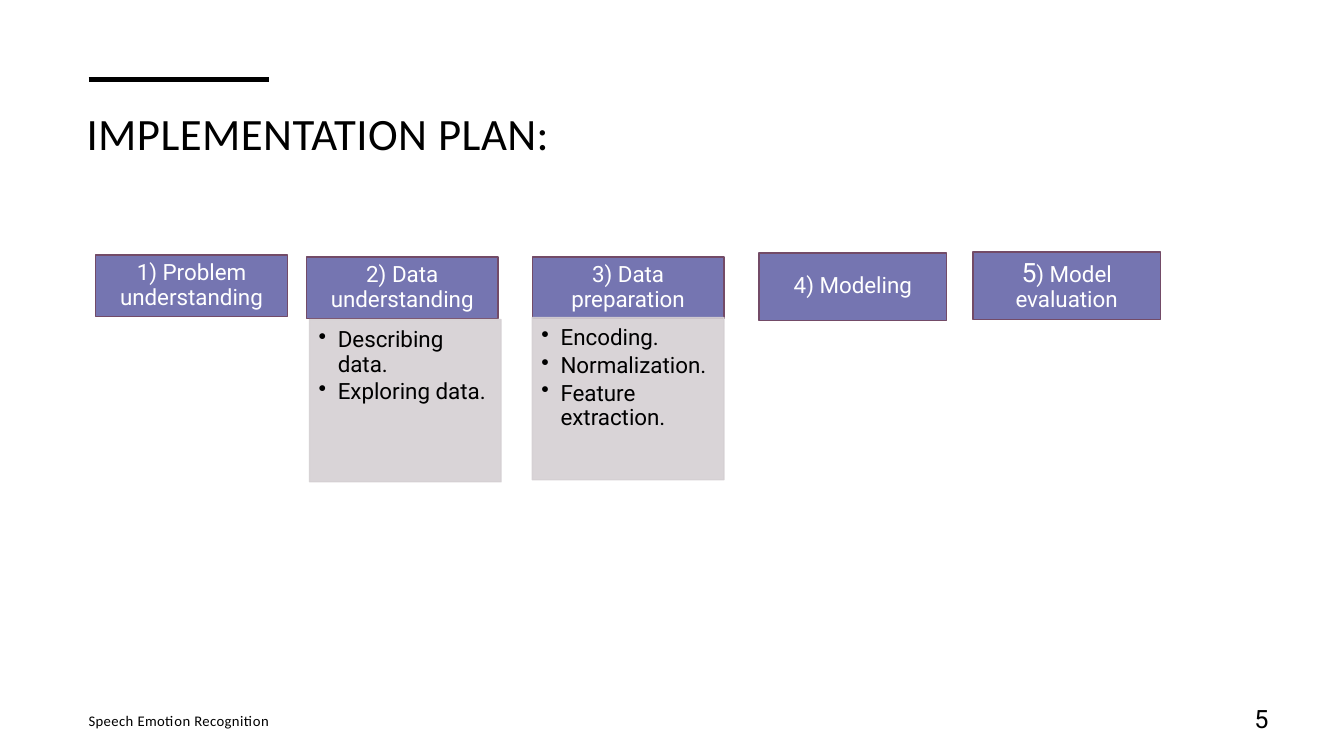
from dataclasses import dataclass

from lxml import etree
from pptx import Presentation
from pptx.dml.color import RGBColor
from pptx.enum.shapes import MSO_CONNECTOR, MSO_SHAPE
from pptx.enum.text import MSO_ANCHOR, PP_ALIGN
from pptx.oxml.ns import qn
from pptx.util import Inches, Pt

RECT = MSO_SHAPE.RECTANGLE
STRAIGHT = MSO_CONNECTOR.STRAIGHT
TOP, MIDDLE = MSO_ANCHOR.TOP, MSO_ANCHOR.MIDDLE
LEFT, CENTER, RIGHT = PP_ALIGN.LEFT, PP_ALIGN.CENTER, PP_ALIGN.RIGHT

COLORS = {
    "ink": "000000",
    "paper": "FFFFFF",
    "head": "7575B1",
    "edge": "734B67",
    "body": "D5D0D3",
}
HEAD_PAD = (0.12, 0.07, 0.12, 0.07)
WIDE_PAD = (0.15, 0.08, 0.15, 0.08)
BODY_PAD = (0.09, 0.09, 0.12, 0.14)
BODY_HIGH = 1.61


@dataclass
class Step:
    """A stage of the plan: text runs with sizes, and its list if any."""
    left: float
    top: float
    width: float
    height: float
    runs: list[tuple[str, float]]
    pad: tuple = HEAD_PAD
    items: tuple = ()
    spot: tuple = ()


@dataclass
class Label:
    text: str
    box: tuple
    size: float
    font: str = "Calibri"
    align: PP_ALIGN = LEFT
    anchor: MSO_ANCHOR = MIDDLE
    track: int = 30
    lead: float = 1.0
    after: float = 6


STEPS = [
    Step(0.95, 2.53, 1.9, 0.61, [("1) Problem understanding", 16)]),
    Step(3.04, 2.55, 1.9, 0.61, [("2) Data understanding", 16)],
         items=("Describing data.", "Exploring data."), spot=(3.07, 3.17)),
    Step(5.28, 2.55, 1.9, 0.61, [("3) Data preparation", 16)],
         items=("Encoding.", "Normalization.", "Feature extraction."),
         spot=(5.28, 3.15)),
    Step(7.53, 2.51, 1.86, 0.67, [("4) Modeling", 16)]),
    Step(9.65, 2.5, 1.86, 0.67, [("5", 19), (") Model evaluation", 16)],
         pad=WIDE_PAD),
]
LABELS = [
    Label("IMPLEMENTATION PLAN:", (0.76, 1, 11.89, 0.77), 32,
          anchor=TOP, after=0),
    Label("Speech Emotion Recognition", (0.78, 6.95, 4.96, 0.4), 10.5),
    Label("5", (11.94, 6.95, 0.74, 0.4), 18, "Roboto", RIGHT,
          track=0, lead=0.9),
]


def tint(name: str) -> RGBColor:
    return RGBColor.from_string(COLORS[name])


def add_run(para, text: str, size: float, color: str,
            font: str = "Roboto", track: int = 0) -> None:
    run = para.add_run()
    run.text = text
    run.font.size = Pt(size)
    run.font.name = font
    run.font.color.rgb = tint(color)
    if track:
        run.font._element.set("spc", str(track))


def set_para(para, align: PP_ALIGN, lead: float, after: float) -> None:
    para.alignment = align
    para.line_spacing = lead
    para.space_after = Pt(after)


def add_bullet(para) -> None:
    props = para._p.get_or_add_pPr()
    props.set("marL", str(Inches(0.19)))
    props.set("indent", str(Inches(-0.19)))
    etree.SubElement(props, qn("a:buChar"), char="•")


def add_box(slide, box: tuple, fill: str, edge: str, pad: tuple,
            anchor: MSO_ANCHOR):
    shape = slide.shapes.add_shape(RECT, *map(Inches, box))
    shape.shadow.inherit = False
    shape.fill.solid()
    shape.fill.fore_color.rgb = tint(fill)
    shape.line.color.rgb = tint(edge)
    shape.line.width = Pt(1)
    frame = shape.text_frame
    frame.word_wrap = True
    frame.vertical_anchor = anchor
    (frame.margin_left, frame.margin_top,
     frame.margin_right, frame.margin_bottom) = map(Inches, pad)
    return shape


def fade(shape, share: int) -> None:
    """Set the opacity of fill and line, in percent."""
    for color in shape._element.spPr.iter(qn("a:srgbClr")):
        etree.SubElement(color, qn("a:alpha"), val=str(share * 1000))


def add_step(slide, step: Step) -> None:
    box = (step.left, step.top, step.width, step.height)
    head = add_box(slide, box, "head", "edge", step.pad, MIDDLE)
    para = head.text_frame.paragraphs[0]
    set_para(para, CENTER, 0.9, 5.6)
    for text, size in step.runs:
        add_run(para, text, size, "paper")
    if step.items:
        add_list(slide, step)


def add_list(slide, step: Step) -> None:
    box = (*step.spot, step.width, BODY_HIGH)
    body = add_box(slide, box, "body", "body", BODY_PAD, TOP)
    fade(body, 90)
    frame = body.text_frame
    for num, item in enumerate(step.items):
        para = frame.add_paragraph() if num else frame.paragraphs[0]
        set_para(para, LEFT, 0.9, 2.4)
        add_bullet(para)
        add_run(para, item, 16, "ink")


def add_label(slide, label: Label) -> None:
    frame = slide.shapes.add_textbox(*map(Inches, label.box)).text_frame
    frame.word_wrap = True
    frame.vertical_anchor = label.anchor
    para = frame.paragraphs[0]
    set_para(para, label.align, label.lead, label.after)
    add_run(para, label.text, label.size, "ink", label.font, label.track)


def add_rule(slide) -> None:
    ends = map(Inches, (0.88, 0.79, 2.67, 0.79))
    rule = slide.shapes.add_connector(STRAIGHT, *ends)
    rule.line.color.rgb = tint("ink")
    rule.line.width = Pt(3.5)
    etree.SubElement(rule._element.spPr, qn("a:effectLst"))


def main() -> None:
    deck = Presentation()
    deck.slide_width, deck.slide_height = Inches(13.33), Inches(7.5)
    slide = deck.slides.add_slide(deck.slide_layouts[6])
    slide.background.fill.solid()
    slide.background.fill.fore_color.rgb = tint("paper")
    add_rule(slide)
    for label in LABELS:
        add_label(slide, label)
    for step in STEPS:
        add_step(slide, step)
    deck.save("out.pptx")


if __name__ == "__main__":
    main()
